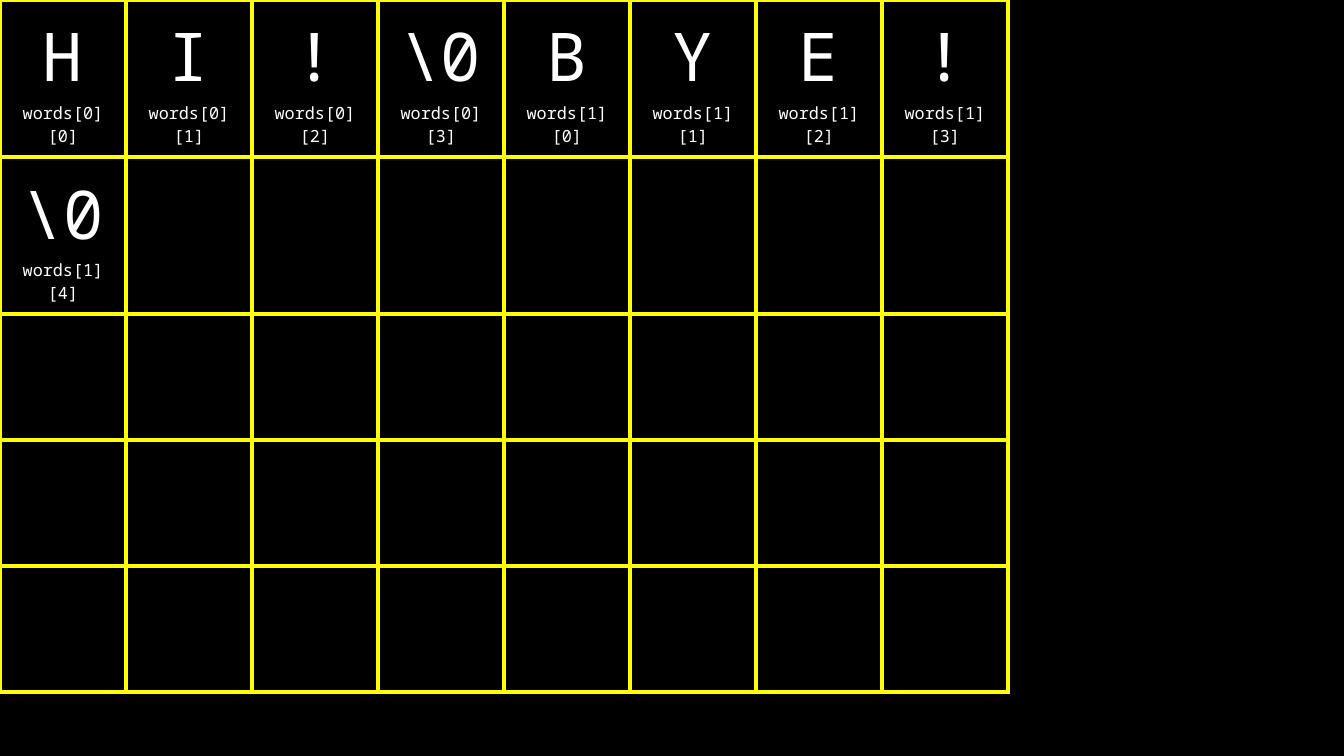
from dataclasses import dataclass

from lxml import etree
from pptx import Presentation
from pptx.dml.color import RGBColor
from pptx.enum.text import MSO_ANCHOR, PP_ALIGN
from pptx.oxml.ns import qn
from pptx.table import Table, _Cell
from pptx.util import Cm, Pt

BOTTOM = MSO_ANCHOR.BOTTOM
CENTER = PP_ALIGN.CENTER

HUES = {"back": "000000", "text": "FFFFFF", "grid": "FFFF00"}
FONT = "Noto Sans Mono"
COLS, ROWS = 8, 5
SIDE = Cm(25.4) // COLS
INSET = Cm(0.25)
WORDS = [["H", "I", "!", r"\0"], ["B", "Y", "E", "!", r"\0"]]


@dataclass
class Byte:
    char: str
    label: str


def frame(cell: _Cell) -> None:
    """Draw the four borders of a cell and leave it unfilled."""
    props = cell._tc.get_or_add_tcPr()
    for side in ("lnL", "lnR", "lnT", "lnB"):
        line = etree.SubElement(props, qn(f"a:{side}"), w=str(Pt(3)))
        fill = etree.SubElement(line, qn("a:solidFill"))
        etree.SubElement(fill, qn("a:srgbClr"), val=HUES["grid"])
    cell.fill.background()


def write(cell: _Cell, byte: Byte) -> None:
    """Put a character above its index label."""
    cell.vertical_anchor = BOTTOM
    cell.margin_left = cell.margin_right = INSET
    cell.margin_top = cell.margin_bottom = INSET
    cell.text_frame.text = f"{byte.char}\n{byte.label}"
    for para, size in zip(cell.text_frame.paragraphs, (48, 12)):
        para.alignment = CENTER
        font = para.runs[0].font
        font.name = FONT
        font.size = Pt(size)
        font.color.rgb = RGBColor.from_string(HUES["text"])


def fill_grid(table: Table, data: list[Byte]) -> None:
    """Lay the bytes out in order, row by row."""
    table.first_row = table.horz_banding = False
    for cell in table.iter_cells():
        frame(cell)
    for pos, byte in enumerate(data):
        write(table.cell(*divmod(pos, COLS)), byte)


def main() -> None:
    # Slide and background
    deck = Presentation()
    deck.slide_width, deck.slide_height = Cm(33.87), Cm(19.05)
    slide = deck.slides.add_slide(deck.slide_layouts[6])
    back = slide.background.fill
    back.solid()
    back.fore_color.rgb = RGBColor.from_string(HUES["back"])

    # Memory grid
    data = [
        Byte(char, f"words[{i}][{j}]")
        for i, word in enumerate(WORDS)
        for j, char in enumerate(word)
    ]
    grid = slide.shapes.add_table(ROWS, COLS, 0, 0, SIDE * COLS, SIDE * ROWS)
    fill_grid(grid.table, data)

    deck.save("out.pptx")


if __name__ == "__main__":
    main()
